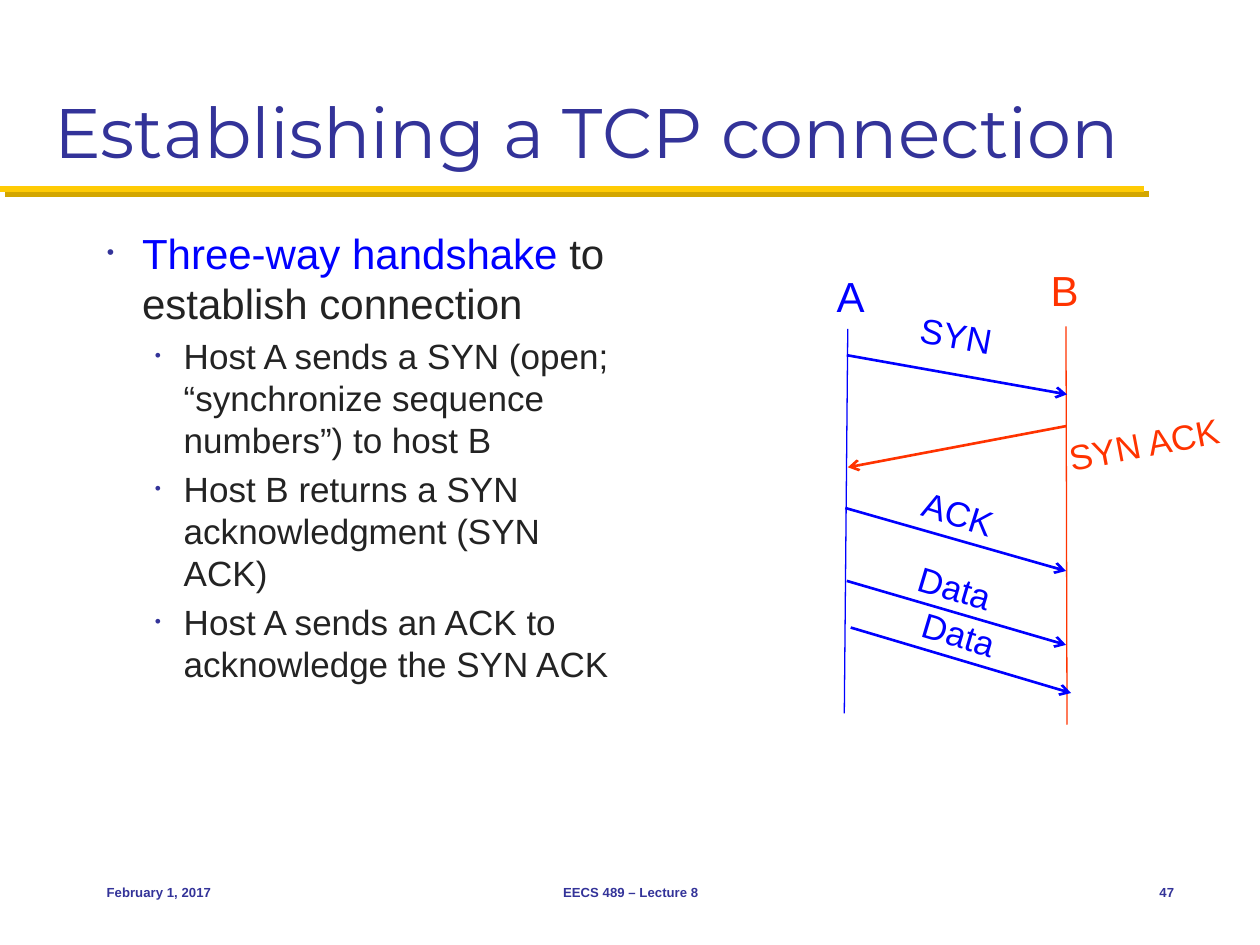
from lxml.etree import SubElement
from pptx import Presentation
from pptx.dml.color import RGBColor
from pptx.enum.shapes import MSO_CONNECTOR
from pptx.enum.text import MSO_ANCHOR, MSO_AUTO_SIZE, PP_ALIGN
from pptx.oxml.ns import qn
from pptx.util import Cm, Pt

NAVY, BLUE, RED, DARK = "333399", "0000FF", "FF3300", "232323"
GOLD, DARK_GOLD = "FFCB05", "D3A600"

TITLE = "Establishing a TCP connection"
# level, runs of (text, colour)
BULLETS = [
    (0, [("Three-way handshake", BLUE), (" to establish connection", DARK)]),
    (1, [("Host A sends a SYN (open; “synchronize sequence numbers”) to host B", DARK)]),
    (1, [("Host B returns a SYN acknowledgment (SYN ACK)", DARK)]),
    (1, [("Host A sends an ACK to acknowledge the SYN ACK", DARK)]),
]
# level: text size, left margin, hanging indent
LEVELS = {0: (24, 0.71, 0.71), 1: (20, 1.55, 0.58)}

# name, label centre, line start, line end, colour
HOSTS = [
    ("A", (17.15, 5.97), (17.09, 6.63), (17.02, 14.38), BLUE),
    ("B", (21.46, 5.84), (21.49, 6.58), (21.51, 14.61), RED),
]
# label, label centre, rotation, arrow start, arrow end, colour
MESSAGES = [
    ("SYN", (19.28, 6.76), 10.1, (17.07, 7.16), (21.51, 7.95), BLUE),
    ("SYN ACK", (23.06, 8.94), -10.9, (21.49, 8.59), (17.09, 9.42), RED),
    ("ACK", (19.32, 10.35), 17.4, (17.04, 10.24), (21.49, 11.51), BLUE),
    ("Data", (19.25, 11.84), 16.7, (17.07, 11.71), (21.49, 13), BLUE),
    ("Data", (19.33, 12.78), 16.7, (17.15, 12.65), (21.59, 13.97), BLUE),
]
# text, left, width, alignment
FOOTERS = [
    ("February 1, 2017", 1.9, 5.28, PP_ALIGN.LEFT),
    ("EECS 489 – Lecture 8", 8.69, 8.05, PP_ALIGN.CENTER),
    ("47", 22.22, 1.7, PP_ALIGN.RIGHT),
]


def color(hex_string):
    """Turn a hex string into a colour."""
    return RGBColor.from_string(hex_string)


def style(font, size, hex_string, name="Arial", bold=False):
    """Set the size, colour, typeface and weight of a font."""
    font.size, font.name, font.bold = Pt(size), name, bold
    font.color.rgb = color(hex_string)


def place(shape, left, top, width, height):
    """Move and size a shape, in centimetres."""
    shape.left, shape.top = Cm(left), Cm(top)
    shape.width, shape.height = Cm(width), Cm(height)


def add_line(slide, start, end, hex_string, width, arrow=False):
    """Draw a straight line and return its empty effect list."""
    line = slide.shapes.add_connector(
        MSO_CONNECTOR.STRAIGHT, *(Cm(value) for value in start + end))
    line.line.color.rgb = color(hex_string)
    line.line.width = Pt(width)
    if arrow:
        SubElement(line.line._get_or_add_ln(), qn("a:tailEnd"), type="arrow")
    return SubElement(line._element.spPr, qn("a:effectLst"))


def add_text(slide, text, box, size, hex_string, align=PP_ALIGN.CENTER, bold=False):
    """Add one line of vertically centred text."""
    shape = slide.shapes.add_textbox(*(Cm(value) for value in box))
    frame = shape.text_frame
    frame.word_wrap = True
    frame.vertical_anchor = MSO_ANCHOR.MIDDLE
    paragraph = frame.paragraphs[0]
    paragraph.text, paragraph.alignment = text, align
    style(paragraph.font, size, hex_string, bold=bold)
    return shape


def add_label(slide, text, center, size, hex_string, rotation=0):
    """Add a label around its centre point."""
    width, height = 3.63, 1.2
    box = (center[0] - width / 2, center[1] - height / 2, width, height)
    add_text(slide, text, box, size, hex_string).rotation = rotation


def add_bullet(paragraph, left, hanging):
    """Give a paragraph a small navy bullet and a hanging indent."""
    properties = paragraph._p.get_or_add_pPr()
    properties.set("marL", str(Cm(left)))
    properties.set("indent", str(-Cm(hanging)))
    bullet_color = SubElement(properties, qn("a:buClr"))
    SubElement(bullet_color, qn("a:srgbClr"), val=NAVY)
    SubElement(properties, qn("a:buSzPct"), val="50000")
    SubElement(properties, qn("a:buFont"), typeface="Arial")
    SubElement(properties, qn("a:buChar"), char="•")


def fill_title(title):
    """Write the slide title."""
    place(title, 0.84, 0.43, 23.7, 3.18)
    frame = title.text_frame
    frame.text = TITLE
    frame.auto_size = MSO_AUTO_SIZE.NONE
    frame.vertical_anchor = MSO_ANCHOR.BOTTOM
    frame.paragraphs[0].alignment = PP_ALIGN.LEFT
    style(frame.paragraphs[0].font, 40, NAVY, "Montserrat")


def fill_body(body):
    """Write the bulleted list."""
    place(body, 1.9, 4.45, 10.8, 12.27)
    frame = body.text_frame
    frame.auto_size = MSO_AUTO_SIZE.NONE
    for index, (level, runs) in enumerate(BULLETS):
        paragraph = frame.add_paragraph() if index else frame.paragraphs[0]
        paragraph.level = level
        size, left, hanging = LEVELS[level]
        add_bullet(paragraph, left, hanging)
        style(paragraph.font, size, DARK)
        for text, hex_string in runs:
            run = paragraph.add_run()
            run.text = text
            if hex_string != DARK:
                run.font.color.rgb = color(hex_string)


presentation = Presentation()
presentation.slide_width, presentation.slide_height = Cm(25.4), Cm(19.05)
slide = presentation.slides.add_slide(presentation.slide_layouts[1])
fill_title(slide.shapes.title)
fill_body(slide.placeholders[1])

effects = add_line(slide, (0, 3.81), (23.06, 3.81), GOLD, 3.5)
shadow = SubElement(effects, qn("a:outerShdw"), dist=str(Pt(4.2)),
                    dir="2700000", algn="ctr", rotWithShape="0")
SubElement(shadow, qn("a:srgbClr"), val=DARK_GOLD)

for name, center, start, end, hex_string in HOSTS:
    add_line(slide, start, end, hex_string, 0.75)
    add_label(slide, name, center, 24, hex_string)
for text, center, rotation, start, end, hex_string in MESSAGES:
    add_line(slide, start, end, hex_string, 1.5, arrow=True)
    add_label(slide, text, center, 20, hex_string, rotation)
for text, left, width, align in FOOTERS:
    add_text(slide, text, (left, 17.35, width, 1.27), 7.5, NAVY, align, bold=True)

presentation.save("out.pptx")
